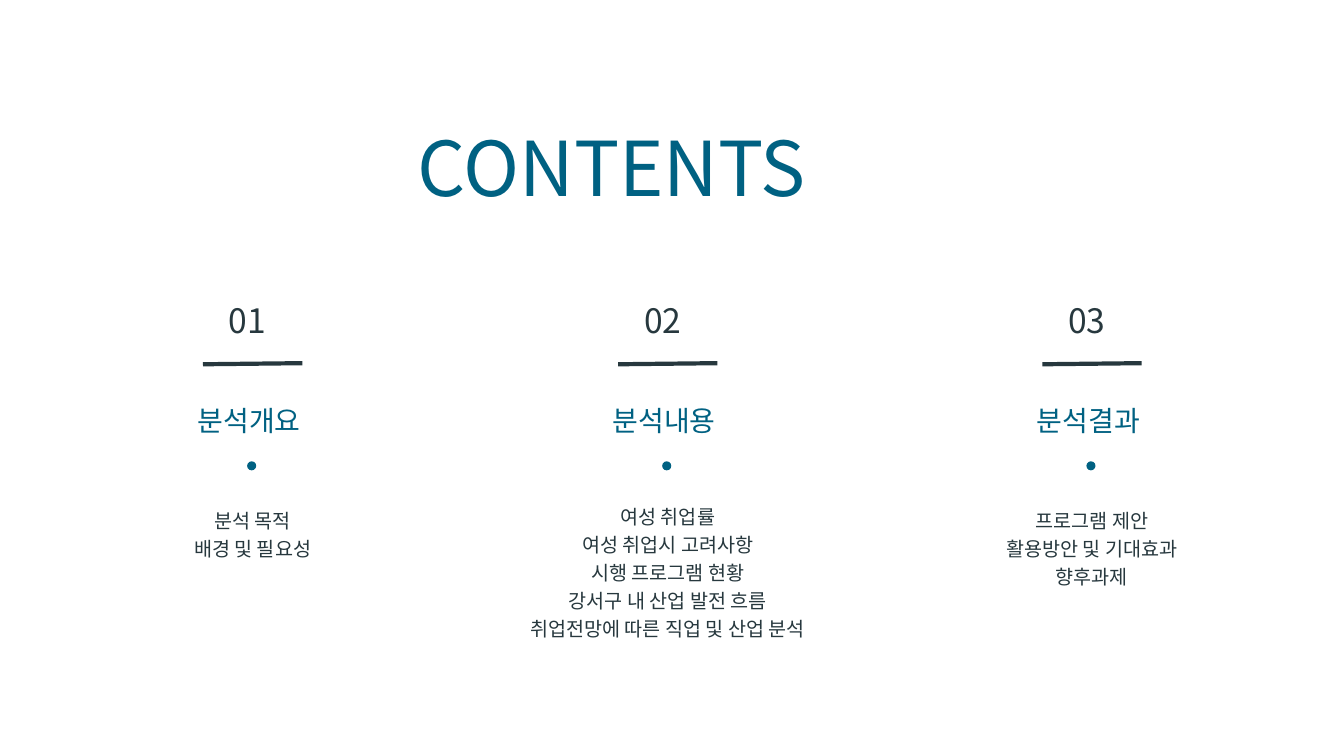
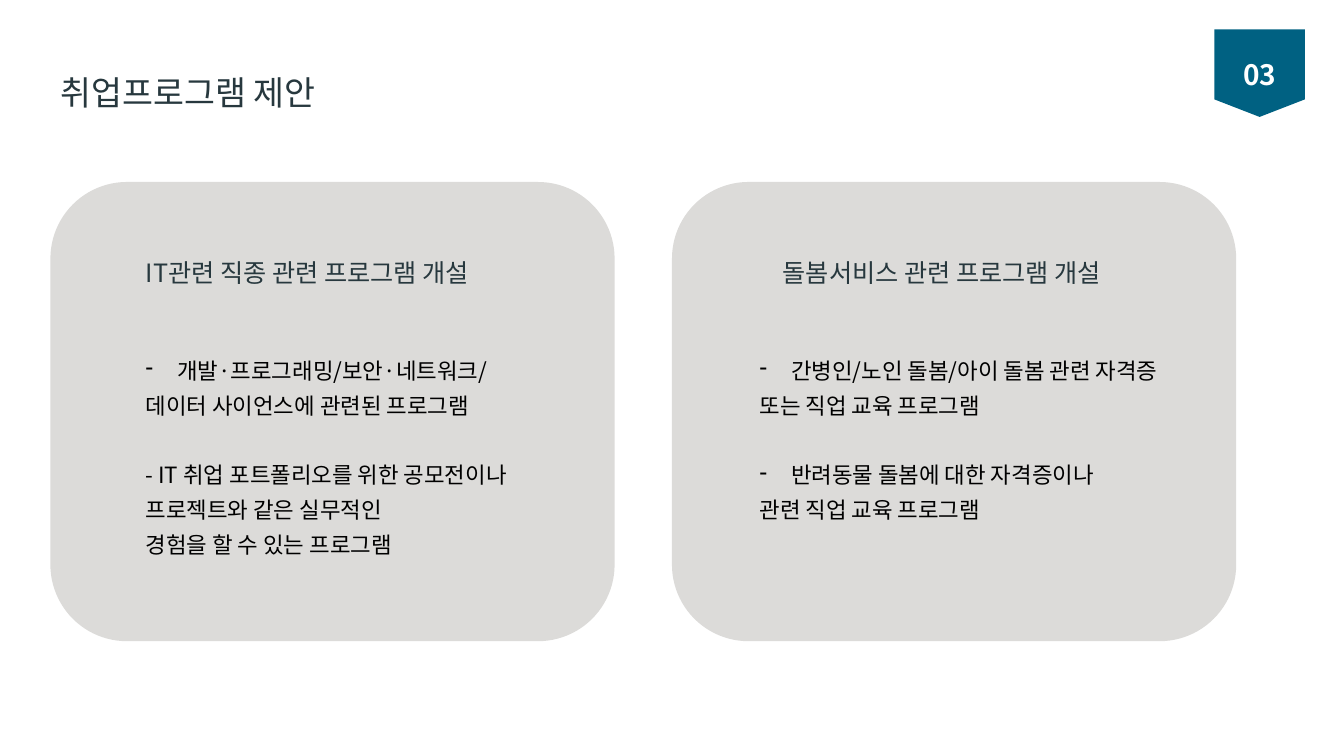
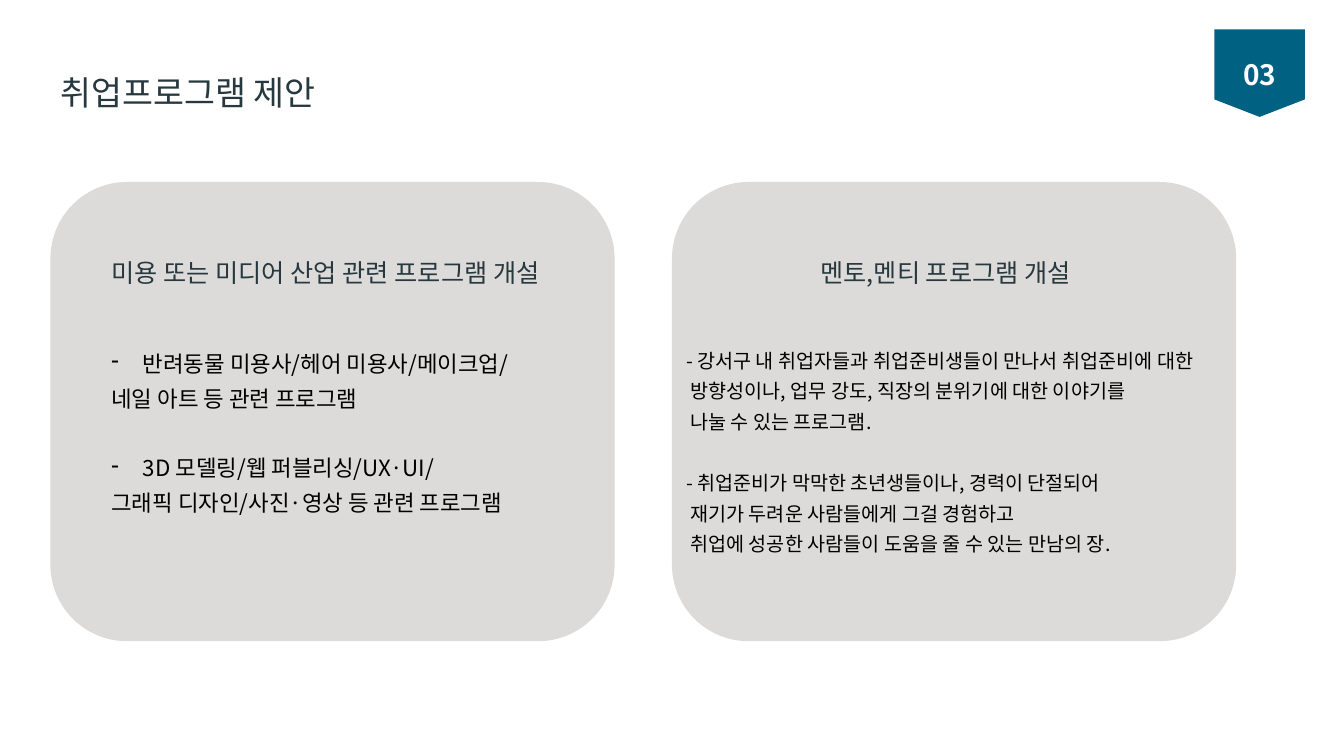
from lxml import etree
from pptx import Presentation
from pptx.dml.color import RGBColor
from pptx.enum.shapes import MSO_CONNECTOR, MSO_SHAPE
from pptx.enum.text import MSO_ANCHOR, MSO_AUTO_SIZE, PP_ALIGN
from pptx.oxml.ns import qn
from pptx.util import Pt

FONT = "Noto Sans CJK KR"
COLORS = {"teal": "006182", "ink": "27383E", "card": "DCDBD9", "black": "000000", "white": "FFFFFF"}
BULLET_INDENT = 22.5
INSET = 3


def write(shape, box, blocks, size, color, align=PP_ALIGN.LEFT, spacing=1.0, gap=0, bold=False):
    shape.left, shape.top, shape.width, shape.height = [Pt(value) for value in box]
    frame = shape.text_frame
    frame.word_wrap = True
    frame.auto_size = MSO_AUTO_SIZE.NONE
    frame.vertical_anchor = MSO_ANCHOR.TOP
    paragraph = None
    for block in blocks:
        for position, (style, text) in enumerate(block):
            starts_block = paragraph is not None and position == 0
            paragraph = frame.paragraphs[0] if paragraph is None else frame.add_paragraph()
            properties = paragraph._p.get_or_add_pPr()
            if style == "bullet":
                properties.set("marL", str(Pt(BULLET_INDENT)))
                properties.set("indent", str(-Pt(BULLET_INDENT)))
                etree.SubElement(properties, qn("a:buChar")).set("char", "-")
            elif style == "inset":
                properties.set("marL", str(Pt(INSET)))
                properties.set("indent", "0")
            paragraph.alignment = align
            paragraph.line_spacing = spacing
            if starts_block:
                paragraph.space_before = Pt(gap)
            run = paragraph.add_run()
            run.text = text
            run.font.size = Pt(size)
            run.font.bold = bold
            run.font.color.rgb = RGBColor.from_string(COLORS[color])
            run.font.name = FONT
            etree.SubElement(run._r.get_or_add_rPr(), qn("a:ea")).set("typeface", FONT)


def add_filled(slide, kind, box, color):
    shape = slide.shapes.add_shape(kind, *[Pt(value) for value in box])
    shape.shadow.inherit = False
    shape.fill.solid()
    shape.fill.fore_color.rgb = RGBColor.from_string(COLORS[color])
    shape.line.fill.background()


presentation = Presentation()
presentation.slide_width, presentation.slide_height = Pt(960), Pt(540)
title_only = presentation.slide_layouts[5]

contents = presentation.slides.add_slide(title_only)
write(contents.shapes.title, (291, 83, 377, 73), [[("flush", "CONTENTS")]], 54, "teal")

sections = [
    ("01", "분석개요", 145, 356.5, 146, ["분석 목적", "배경 및 필요성"]),
    ("02", "분석내용", 441.5, 353.5, 225, [
        "여성 취업률", "여성 취업시 고려사항", "시행 프로그램 현황",
        "강서구 내 산업 발전 흐름", "취업전망에 따른 직업 및 산업 분석"]),
    ("03", "분석결과", 744.5, 356.5, 146, ["프로그램 제안", "활용방안 및 기대효과", "향후과제"]),
]
for number, heading, left, items_top, items_width, items in sections:
    write(contents.shapes.add_textbox(0, 0, 0, 0), (left + 11.5, 211, 47, 36),
          [[("flush", number)]], 24, "ink")
    rule = contents.shapes.add_connector(
        MSO_CONNECTOR.STRAIGHT, Pt(left), Pt(260.2), Pt(left + 71), Pt(259.4))
    rule.line.color.rgb = RGBColor.from_string(COLORS["ink"])
    rule.line.width = Pt(3)
    etree.SubElement(rule._element.spPr, qn("a:effectLst"))
    write(contents.shapes.add_textbox(0, 0, 0, 0), (left - 11, 284.5, 146, 32),
          [[("flush", heading)]], 20, "teal")
    add_filled(contents, MSO_SHAPE.OVAL, (left + 31.5, 329.5, 6.5, 6.5), "teal")
    write(contents.shapes.add_textbox(0, 0, 0, 0),
          (left + 35.5 - items_width / 2, items_top, items_width, 8 + 20 * len(items)),
          [[("flush", item) for item in items]], 14, "ink", PP_ALIGN.CENTER, 1.2)

proposals = [
    (245.5, [
        ("IT관련 직종 관련 프로그램 개설", 97, 265, 97, 16, [
            [("bullet", "개발·프로그래밍/보안·네트워크/"),
             ("flush", "데이터 사이언스에 관련된 프로그램")],
            [("flush", "- IT 취업 포트폴리오를 위한 공모전이나"),
             ("flush", "프로젝트와 같은 실무적인"),
             ("flush", "경험을 할 수 있는 프로그램")]]),
        ("돌봄서비스 관련 프로그램 개설", 552, 258, 535.5, 16, [
            [("bullet", "간병인/노인 돌봄/아이 돌봄 관련 자격증"),
             ("flush", "또는 직업 교육 프로그램")],
            [("bullet", "반려동물 돌봄에 대한 자격증이나"),
             ("flush", "관련 직업 교육 프로그램")]]),
    ]),
    (240.5, [
        ("미용 또는 미디어 산업 관련 프로그램 개설", 72.5, 344, 72.5, 16, [
            [("bullet", "반려동물 미용사/헤어 미용사/메이크업/"),
             ("flush", "네일 아트 등 관련 프로그램")],
            [("bullet", "3D 모델링/웹 퍼블리싱/UX·UI/"),
             ("flush", "그래픽 디자인/사진·영상 등 관련 프로그램")]]),
        ("멘토,멘티 프로그램 개설", 579, 206, 483, 14, [
            [("flush", "- 강서구 내 취업자들과 취업준비생들이 만나서 취업준비에 대한"),
             ("inset", "방향성이나, 업무 강도, 직장의 분위기에 대한 이야기를"),
             ("inset", "나눌 수 있는 프로그램.")],
            [("flush", "- 취업준비가 막막한 초년생들이나, 경력이 단절되어"),
             ("inset", "재기가 두려운 사람들에게 그걸 경험하고"),
             ("inset", "취업에 성공한 사람들이 도움을 줄 수 있는 만남의 장.")]]),
    ]),
]
for body_top, cards in proposals:
    slide = presentation.slides.add_slide(title_only)
    write(slide.shapes.title, (36, 47.5, 208, 36), [[("flush", "취업프로그램 제안")]], 24, "ink")
    add_filled(slide, MSO_SHAPE.FLOWCHART_OFFPAGE_CONNECTOR, (867.5, 21, 64.5, 62.5), "teal")
    write(slide.shapes.add_textbox(0, 0, 0, 0), (881, 37.5, 46, 32),
          [[("flush", "03")]], 20, "white", bold=True)
    for column, (heading, heading_left, heading_width, body_left, size, blocks) in enumerate(cards):
        add_filled(slide, MSO_SHAPE.ROUNDED_RECTANGLE, (36 + 444 * column, 130, 403, 328), "card")
        write(slide.shapes.add_textbox(0, 0, 0, 0), (heading_left, 180, heading_width, 51),
              [[("flush", heading)]], 18, "ink")
        write(slide.shapes.add_textbox(0, 0, 0, 0), (body_left, body_top, 420, 182),
              blocks, size, "black", spacing=1.3, gap=1.56 * size)

presentation.save("out.pptx")
